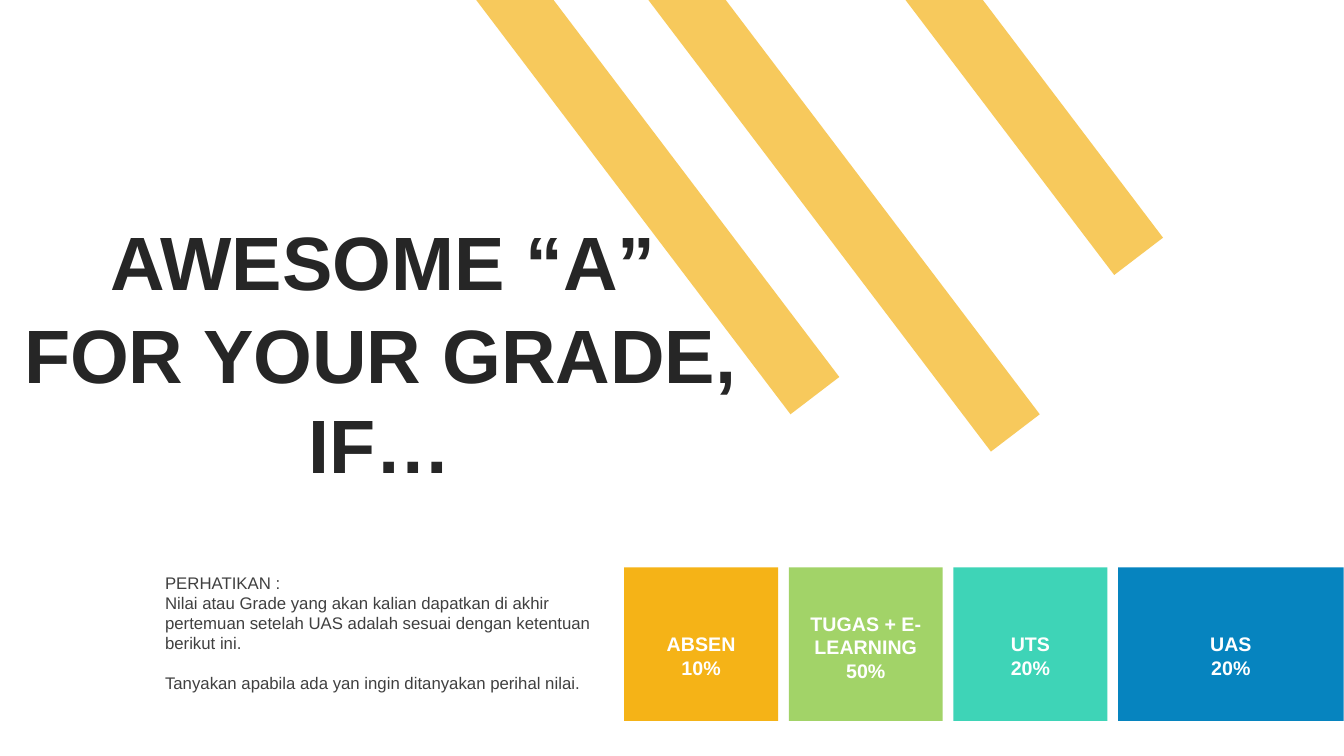
from pptx import Presentation
from pptx.dml.color import RGBColor
from pptx.enum.shapes import MSO_SHAPE
from pptx.enum.text import MSO_ANCHOR, PP_ALIGN
from pptx.oxml.ns import qn
from pptx.util import Cm, Pt
from lxml import etree

RECT = MSO_SHAPE.RECTANGLE
LEFT, CENTER = PP_ALIGN.LEFT, PP_ALIGN.CENTER
TOP, MIDDLE = MSO_ANCHOR.TOP, MSO_ANCHOR.MIDDLE

AMBER = RGBColor(0xF5, 0xB3, 0x17)
GREEN = RGBColor(0xA2, 0xD3, 0x68)
TEAL = RGBColor(0x3E, 0xD4, 0xB7)
BLUE = RGBColor(0x06, 0x84, 0xBF)
INK = RGBColor(0x26, 0x26, 0x26)
GRAY = RGBColor(0x40, 0x40, 0x40)
WHITE = RGBColor(0xFF, 0xFF, 0xFF)


class Deck:
    font = "Arial"
    stripe_width = 1.95
    stripe_slope = 0.758
    stripe_cap = (1.23, 0.94)

    def __init__(self, prs):
        self.s = prs.slides.add_slide(prs.slide_layouts[6])

    def paint(self, sp, color):
        sp.shadow.inherit = False
        sp.fill.solid()
        sp.fill.fore_color.rgb = color
        sp.line.fill.background()

    def stripe(self, left, drop):
        """Draw a slanted band from the top edge; drop is the height of its right corner."""
        right = left + self.stripe_width
        tip = right + self.stripe_slope * drop
        dx, dy = self.stripe_cap
        fb = self.s.shapes.build_freeform(Cm(left), 0)
        fb.add_line_segments([(Cm(right), 0), (Cm(tip), Cm(drop)),
                              (Cm(tip - dx), Cm(drop + dy))])
        sp = fb.convert_to_shape()
        self.paint(sp, AMBER)
        clr = sp.fill._xPr.find(qn("a:solidFill"))[0]
        etree.SubElement(clr, qn("a:alpha")).set("val", "70000")

    def tile(self, x, y, w, h, color):
        self.paint(self.s.shapes.add_shape(RECT, Cm(x), Cm(y), Cm(w), Cm(h)), color)

    def text(self, x, y, w, h, lines, size, color, bold=False, align=CENTER, anchor=TOP):
        tf = self.s.shapes.add_textbox(Cm(x), Cm(y), Cm(w), Cm(h)).text_frame
        tf.word_wrap = True
        tf.vertical_anchor = anchor
        tf.text = "\n".join(lines)
        for p in tf.paragraphs:
            p.alignment = align
            p.font.name = self.font
            p.font.size = Pt(size)
            p.font.bold = bold
            p.font.color.rgb = color
        return tf


def main():
    prs = Presentation()
    prs.slide_width, prs.slide_height = Cm(33.87), Cm(19.05)
    deck = Deck(prs)

    for left, drop in [(22.82, 5.99), (12, 9.5), (16.34, 10.44)]:
        deck.stripe(left, drop)

    deck.text(1.45, 5.28, 16.41, 2.57, ["AWESOME “A”"], 54, INK, True, anchor=MIDDLE)
    deck.text(0.2, 7.6, 18.77, 4.88, ["FOR YOUR GRADE, IF…"], 54, INK, True, anchor=MIDDLE)

    note = deck.text(3.91, 14.3, 11.38, 3.33, [
        "PERHATIKAN :",
        "Nilai atau Grade yang akan kalian dapatkan di akhir pertemuan setelah UAS "
        "adalah sesuai dengan ketentuan berikut ini.",
        "Tanyakan apabila ada yan ingin ditanyakan perihal nilai.",
    ], 12, GRAY, align=LEFT)
    note.paragraphs[2].space_before = Pt(14)

    grades = [
        ("ABSEN", "10%", AMBER, 3.88, 15.8, 1.45),
        ("TUGAS + E-LEARNING", "50%", GREEN, 3.88, 15.29, 2.06),
        ("UTS", "20%", TEAL, 3.88, 15.8, 1.45),
        ("UAS", "20%", BLUE, 5.68, 15.8, 1.45),
    ]
    for i, (name, share, color, width, label_top, label_height) in enumerate(grades):
        x = 15.73 + 4.15 * i
        deck.tile(x, 14.3, width, 3.87, color)
        deck.text(x, label_top, width, label_height, [name, share], 14, WHITE, True)

    prs.save("out.pptx")


if __name__ == "__main__":
    main()
